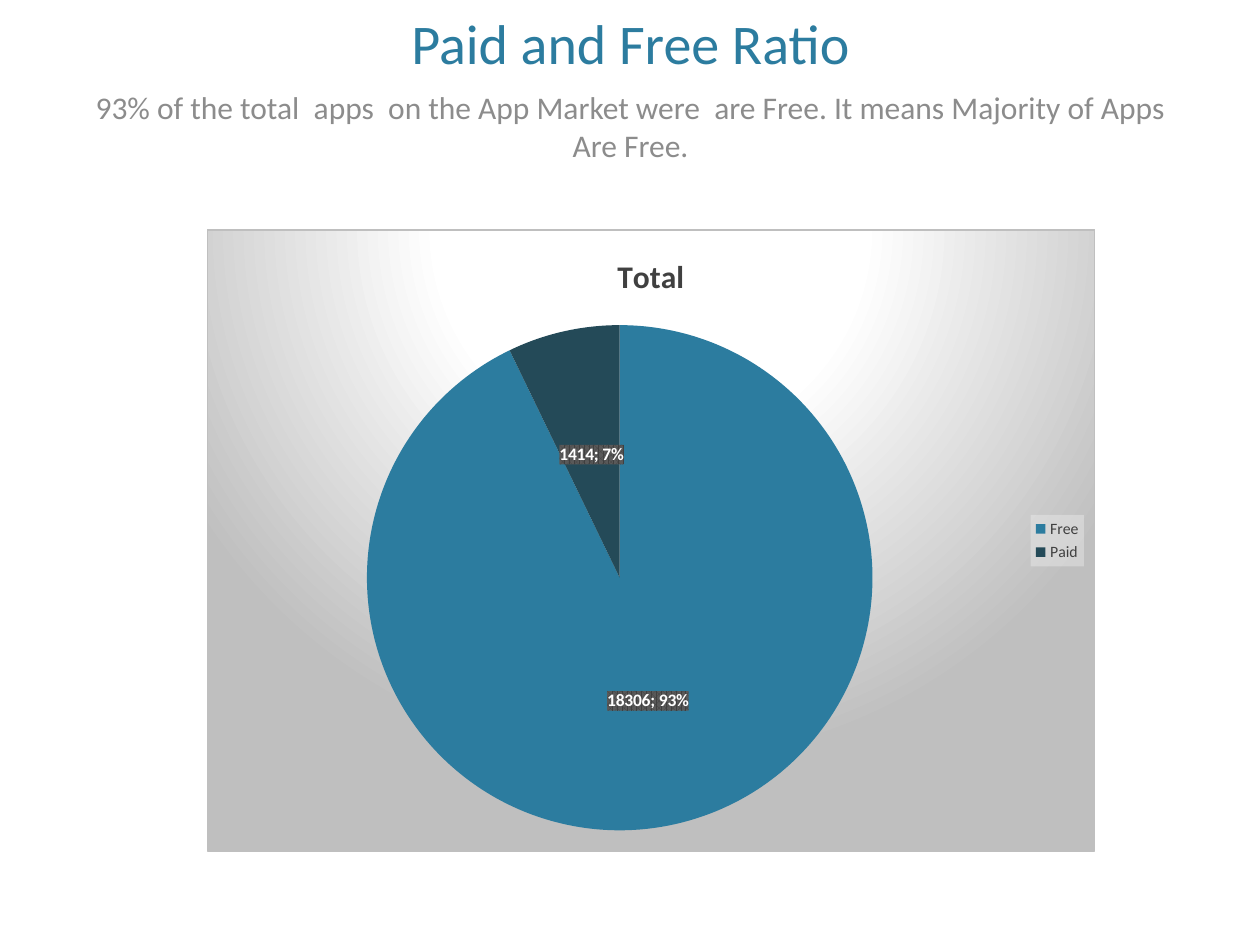
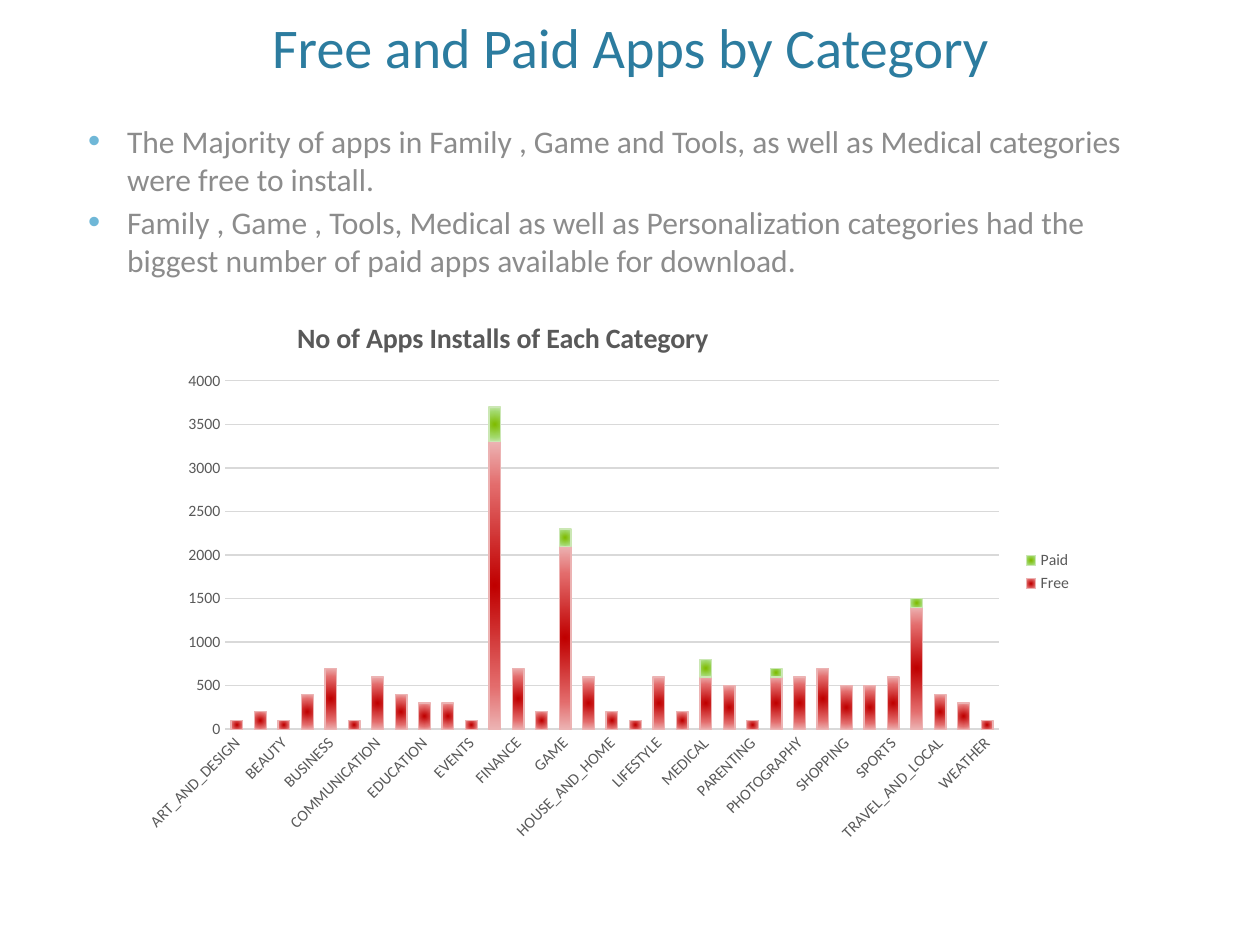
from dataclasses import dataclass

from pptx import Presentation
from pptx.chart.data import CategoryChartData
from pptx.dml.color import RGBColor
from pptx.enum.chart import XL_CHART_TYPE, XL_LABEL_POSITION, XL_LEGEND_POSITION, XL_TICK_MARK
from pptx.enum.text import MSO_ANCHOR, PP_ALIGN
from pptx.oxml import parse_xml
from pptx.oxml.ns import nsdecls, qn
from pptx.util import Inches, Pt


@dataclass(frozen=True)
class Theme:
    """Colours, font and type sizes of the deck."""
    font: str = "Calibri"
    title: str = "2C7C9F"
    body: str = "8C8C8C"
    bullet: str = "6FB7D7"
    pie_text: str = "404040"
    column_text: str = "595959"
    label: str = "FFFFFF"
    grid: str = "D9D9D9"
    frame: str = "BFBFBF"
    pie: tuple = ("2C7C9F", "244A58")
    backdrop: tuple = ((0, "FFFFFF"), (39, "FFFFFF"), (100, "BFBFBF"))
    columns: tuple = (
        ((0, "C00000"), (69, "E36B6B"), (100, "ECB3B3")),
        ((0, "80BC00"), (69, "A3DA6D"), (100, "CBE7B4")),
    )
    title_size: int = 32
    body_size: int = 18
    pie_title_size: int = 18
    column_title_size: int = 16
    chart_size: int = 10
    axis_size: int = 9


@dataclass(frozen=True)
class Box:
    """A region in grid cells of a tenth of an inch."""
    left: float
    top: float
    width: float
    height: float

    def region(self, left, top, width, height):
        """Return a smaller box, counted in cells from this box's corner."""
        return Box(self.left + left, self.top + top, width, height)

    def lengths(self):
        """Return left, top, width and height as slide lengths."""
        return [Inches(cells / 10) for cells in (self.left, self.top, self.width, self.height)]


THEME = Theme()
PAGE = Box(0, 0, 100, 75)
MARGIN, TEXT_WIDTH = 6, 88.1


def set_font(font, size, color, bold=False):
    """Apply the deck font with a size and a colour."""
    font.name, font.size, font.bold = THEME.font, Pt(size), bold
    font.color.rgb = RGBColor.from_string(color)


def write_text(frame, *texts, size, color, bold=False, align=None, before=0, bullet=None):
    """Write one paragraph for each text, in one format."""
    for index, text in enumerate(texts):
        paragraph = frame.add_paragraph() if index else frame.paragraphs[0]
        run = paragraph.add_run()
        run.text = text
        set_font(run.font, size, color, bold)
        paragraph.alignment = align
        paragraph.space_before = Pt(before)
        if bullet:
            add_bullet(paragraph, bullet)


def add_bullet(paragraph, color):
    """Give a paragraph a hanging round bullet."""
    properties = paragraph._p.get_or_add_pPr()
    indent = Inches(0.31)
    properties.set("marL", str(indent))
    properties.set("indent", str(-indent))
    for xml in (f'<a:buClr {nsdecls("a")}><a:srgbClr val="{color}"/></a:buClr>',
                f'<a:buSzPct {nsdecls("a")} val="110000"/>',
                f'<a:buFont {nsdecls("a")} typeface="Arial"/>',
                f'<a:buChar {nsdecls("a")} char="•"/>'):
        properties.append(parse_xml(xml))


def add_text(slide, box, *texts, anchor=MSO_ANCHOR.TOP, **text_format):
    """Place a wrapped text box."""
    frame = slide.shapes.add_textbox(*box.lengths()).text_frame
    frame.word_wrap = True
    frame.vertical_anchor = anchor
    write_text(frame, *texts, **text_format)


def add_title(slide, box, text):
    """Place the slide title, centred on the bottom of its box."""
    add_text(slide, box, text, anchor=MSO_ANCHOR.BOTTOM, align=PP_ALIGN.CENTER,
             size=THEME.title_size, color=THEME.title)


def add_body(slide, box, *texts, **text_format):
    """Place the grey comment under the title."""
    add_text(slide, box, *texts, size=THEME.body_size, color=THEME.body, before=3, **text_format)


def radial_fill(stops, left, top, right, bottom):
    """Return the XML of a circular gradient."""
    colors = "".join(f'<a:gs pos="{share * 1000}"><a:srgbClr val="{color}"/></a:gs>'
                     for share, color in stops)
    return (f'<a:gradFill><a:gsLst>{colors}</a:gsLst><a:path path="circle">'
            f'<a:fillToRect l="{left * 1000}" t="{top * 1000}" r="{right * 1000}" '
            f'b="{bottom * 1000}"/></a:path></a:gradFill>')


def line_xml(color, points):
    """Return the XML of a solid line with round joins."""
    return (f'<a:ln w="{Pt(points)}"><a:solidFill><a:srgbClr val="{color}"/></a:solidFill>'
            '<a:round/></a:ln>')


def shape_properties(content):
    """Wrap fill and line XML as the properties of a chart element."""
    return parse_xml(f'<c:spPr {nsdecls("c", "a")}>{content}</c:spPr>')


def paint_element(element, content):
    """Fill a chart element that already has text properties."""
    element.find(qn("c:txPr")).addprevious(shape_properties(content))


def set_layout(element, index, inner=False, **shares):
    """Fix a chart element at shares of the chart's size."""
    for layout in element.findall(qn("c:layout")):
        element.remove(layout)
    target = '<c:layoutTarget val="inner"/>' if inner else ""
    places = "".join(f'<c:{name} val="{share}"/>' for name, share in shares.items())
    element.insert(index, parse_xml(
        f'<c:layout {nsdecls("c")}><c:manualLayout>{target}<c:xMode val="edge"/>'
        f'<c:yMode val="edge"/>{places}</c:manualLayout></c:layout>'))


def add_chart(slide, box, kind, categories, series, title, title_size, color, plot_area):
    """Place a chart with a bold title and a legend on the right."""
    data = CategoryChartData()
    data.categories = categories
    for name, values in series.items():
        data.add_series(name, values)
    chart = slide.shapes.add_chart(kind, *box.lengths(), data).chart
    set_font(chart.font, THEME.chart_size, "000000")
    chart.has_title = True
    write_text(chart.chart_title.text_frame, title, size=title_size, color=color, bold=True)
    chart.has_legend = True
    chart.legend.position = XL_LEGEND_POSITION.RIGHT
    chart.legend.include_in_layout = False
    set_font(chart.legend.font, THEME.axis_size, color)
    set_layout(chart._chartSpace.chart.plotArea, 0, inner=True, **plot_area)
    return chart


def add_ratio_pie(slide, box):
    """Place the pie of free and paid apps on its shaded backdrop."""
    chart = add_chart(slide, box, XL_CHART_TYPE.PIE, ["Free", "Paid"], {"Total": [18306, 1414]},
                      "Total", THEME.pie_title_size, THEME.pie_text,
                      dict(x=0.18, y=0.15, w=0.57, h=0.82))
    paint_element(chart._chartSpace,
                  radial_fill(THEME.backdrop, 50, -80, 50, 180) + line_xml(THEME.frame, 0.75))
    paint_element(chart.legend._element,
                  '<a:solidFill><a:srgbClr val="F2F2F2"><a:alpha val="39000"/></a:srgbClr>'
                  '</a:solidFill>')
    chart.plots[0].vary_by_categories = True
    series = chart.plots[0].series[0]
    for index, color in enumerate(THEME.pie):
        fill = series.points[index].format.fill
        fill.solid()
        fill.fore_color.rgb = RGBColor.from_string(color)
    labels = series.data_labels
    labels.show_value = labels.show_percentage = True
    labels.position = XL_LABEL_POSITION.CENTER
    set_font(labels.font, THEME.chart_size, THEME.label, bold=True)
    paint_element(labels._element,
                  '<a:pattFill prst="pct75"><a:fgClr><a:srgbClr val="404040"/></a:fgClr>'
                  '<a:bgClr><a:srgbClr val="595959"/></a:bgClr></a:pattFill>')
    labels._element.find(qn("c:showBubbleSize")).addnext(
        parse_xml(f'<c:separator {nsdecls("c")}>; </c:separator>'))


def style_axes(chart):
    """Set the scale, labels and lines of the column chart."""
    for axis in (chart.category_axis, chart.value_axis):
        axis.major_tick_mark = axis.minor_tick_mark = XL_TICK_MARK.NONE
        set_font(axis.tick_labels.font, THEME.axis_size, THEME.column_text)
    names, scale = chart.category_axis, chart.value_axis
    names._element.find(qn("c:txPr")).find(qn("a:bodyPr")).set("rot", str(-45 * 60000))
    scale.minimum_scale, scale.maximum_scale, scale.major_unit = 0, 4000, 500
    scale.format.line.fill.background()
    for line, points in ((names.format.line, 1), (scale.major_gridlines.format.line, 0.75)):
        line.color.rgb = RGBColor.from_string(THEME.grid)
        line.width = Pt(points)


def add_category_columns(slide, box):
    """Place the stacked columns of free and paid apps by category."""
    chart = add_chart(slide, box, XL_CHART_TYPE.COLUMN_STACKED, CATEGORIES,
                      {"Free": FREE, "Paid": PAID}, "No of Apps Installs of Each Category",
                      THEME.column_title_size, THEME.column_text,
                      dict(x=0.1, y=0.16, w=0.81, h=0.62))
    set_layout(chart.chart_title._element, 1, x=0.17, y=0.04)
    style_axes(chart)
    plot = chart.plots[0]
    plot.gap_width, plot.overlap, plot.vary_by_categories = 100, 100, False
    for series, stops in zip(plot.series, THEME.columns):
        properties = series._element.get_or_add_spPr()
        properties.extend(list(shape_properties(
            radial_fill(stops, 100, 100, 100, 100) + line_xml(stops[-1][1], 0.75))))


def build_ratio_slide(slide, box):
    """Build the slide on the share of free apps."""
    add_title(slide, box.region(MARGIN, 1, TEXT_WIDTH, 5.5), "Paid and Free Ratio")
    add_body(slide, box.region(MARGIN, 6.5, TEXT_WIDTH, 8.5),
             "93% of the total  apps  on the App Market were  are Free. "
             "It means Majority of Apps Are Free.", align=PP_ALIGN.CENTER)
    add_ratio_pie(slide, box.region(16.4, 18.2, 70.5, 49.4))


def build_category_slide(slide, box):
    """Build the slide on free and paid apps by category."""
    add_title(slide, box.region(MARGIN, 1.4, TEXT_WIDTH, 5.4), "Free and Paid Apps by Category")
    add_body(slide, box.region(MARGIN, 9.2, TEXT_WIDTH, 12.8),
             "The Majority of apps in Family , Game and Tools, as well as Medical categories "
             "were free to install. ",
             "Family , Game , Tools, Medical as well as Personalization categories had the "
             "biggest number of paid apps available for download. ", bullet=THEME.bullet)
    add_category_columns(slide, box.region(10.3, 23.1, 75.8, 44.6))


CATEGORIES = """ART_AND_DESIGN AUTO_AND_VEHICLES BEAUTY BOOKS_AND_REFERENCE BUSINESS COMICS
COMMUNICATION DATING EDUCATION ENTERTAINMENT EVENTS FAMILY FINANCE FOOD_AND_DRINK GAME
HEALTH_AND_FITNESS HOUSE_AND_HOME LIBRARIES_AND_DEMO LIFESTYLE MAPS_AND_NAVIGATION MEDICAL
NEWS_AND_MAGAZINES PARENTING PERSONALIZATION PHOTOGRAPHY PRODUCTIVITY SHOPPING SOCIAL SPORTS
TOOLS TRAVEL_AND_LOCAL VIDEO_PLAYERS WEATHER""".split()
FREE = [100, 200, 100, 400, 700, 100, 600, 400, 300, 300, 100, 3300, 700, 200, 2100, 600, 200,
        100, 600, 200, 600, 500, 100, 600, 600, 700, 500, 500, 600, 1400, 400, 300, 100]
PAID_APPS = {"FAMILY": 400, "GAME": 200, "MEDICAL": 200, "PERSONALIZATION": 100, "TOOLS": 100}
WITHOUT_PAID = {"BEAUTY", "COMICS", "HOUSE_AND_HOME"}
PAID = [None if name in WITHOUT_PAID else PAID_APPS.get(name, 0) for name in CATEGORIES]

presentation = Presentation()
presentation.slide_width, presentation.slide_height = PAGE.lengths()[2:]
for build in (build_ratio_slide, build_category_slide):
    build(presentation.slides.add_slide(presentation.slide_layouts[6]), PAGE)
presentation.save("out.pptx")
